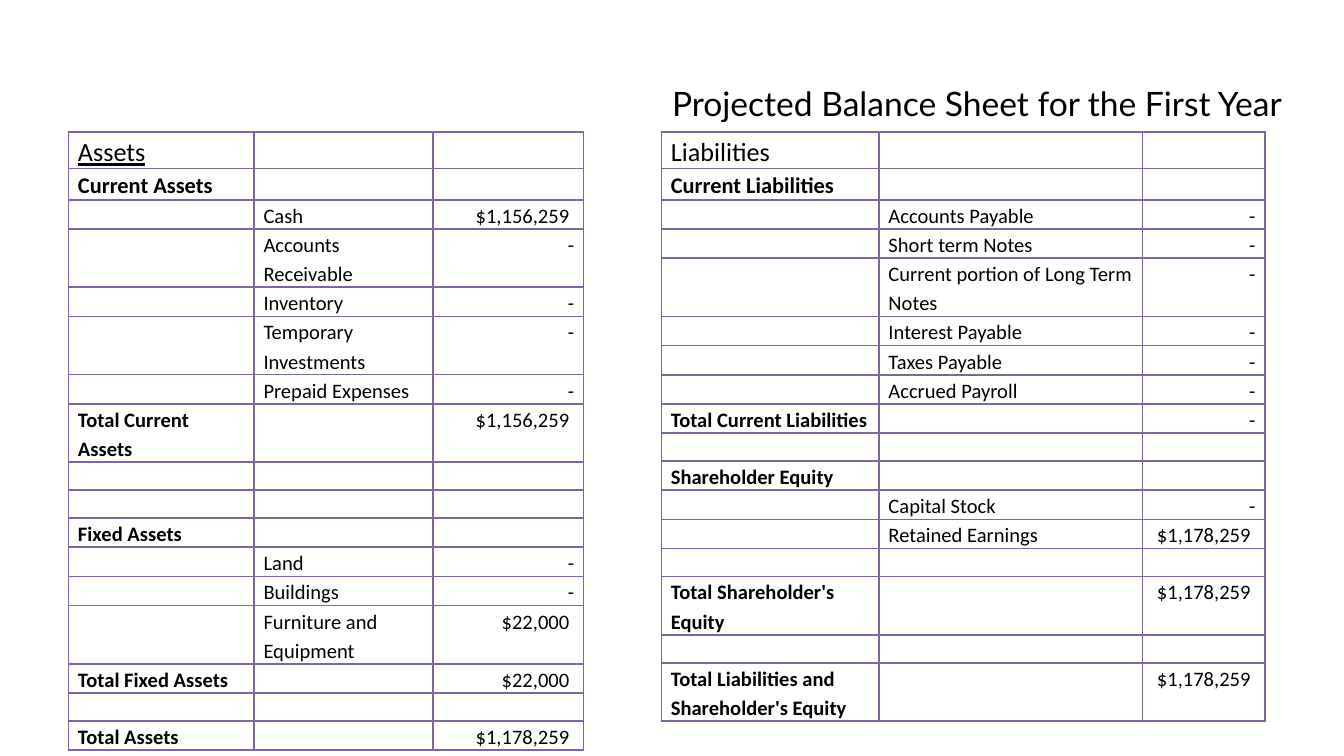
from lxml.etree import SubElement
from pptx import Presentation
from pptx.dml.color import RGBColor
from pptx.enum.text import MSO_ANCHOR, PP_ALIGN
from pptx.oxml.ns import qn
from pptx.util import Pt

BLACK = RGBColor(0x00, 0x00, 0x00)
PURPLE = RGBColor(0x80, 0x64, 0xA2)

TITLE = "Projected Balance Sheet for the First Year"
EMPTY = ("", "", "")

ASSETS = [
    ("Assets", "", ""),
    ("Current Assets", "", ""),
    ("", "Cash", "$1,156,259 "),
    ("", "Accounts Receivable", "-"),
    ("", "Inventory", "-"),
    ("", "Temporary Investments", "-"),
    ("", "Prepaid Expenses", "-"),
    ("Total Current Assets", "", "$1,156,259 "),
    EMPTY,
    EMPTY,
    ("Fixed Assets", "", ""),
    ("", "Land", "-"),
    ("", "Buildings", "-"),
    ("", "Furniture and Equipment", "$22,000 "),
    ("Total Fixed Assets", "", "$22,000 "),
    EMPTY,
    ("Total Assets", "", "$1,178,259 "),
]

LIABILITIES = [
    ("Liabilities", "", ""),
    ("Current Liabilities", "", ""),
    ("", "Accounts Payable", "-"),
    ("", "Short term Notes", "-"),
    ("", "Current portion of Long Term Notes", "-"),
    ("", "Interest Payable", "-"),
    ("", "Taxes Payable", "-"),
    ("", "Accrued Payroll", "-"),
    ("Total Current Liabilities", "", "-"),
    EMPTY,
    ("Shareholder Equity", "", ""),
    ("", "Capital Stock", "-"),
    ("", "Retained Earnings", "$1,178,259 "),
    EMPTY,
    ("Total Shareholder's Equity", "", "$1,178,259 "),
    EMPTY,
    ("Total Liabilities and Shareholder's Equity", "", "$1,178,259 "),
]

TABLES = [
    {"left": 36.8, "widths": (99.4, 95.8, 80.6), "rows": ASSETS, "underline": True},
    {"left": 354.4, "widths": (116.6, 141.1, 65.5), "rows": LIABILITIES, "underline": False},
]
TABLE_TOP = 70.6
TABLE_HEIGHT = 324
ROW_HEIGHT = 15
HEADING_SIZES = (14, 12)
BODY_SIZE = 11


def add_borders(cell):
    properties = cell._tc.get_or_add_tcPr()
    for position, side in enumerate(("lnL", "lnR", "lnT", "lnB")):
        line = SubElement(properties, qn(f"a:{side}"), w=str(Pt(1)))
        fill = SubElement(line, qn("a:solidFill"))
        SubElement(fill, qn("a:srgbClr"), val=str(PURPLE))
        properties.insert(position, line)


def fill_cell(cell, text, row, column, underline):
    cell.margin_left = cell.margin_right = Pt(5)
    cell.margin_top = cell.margin_bottom = 0
    cell.fill.background()
    add_borders(cell)
    paragraph = cell.text_frame.paragraphs[0]
    paragraph.text = text
    paragraph.line_spacing = 1.15
    paragraph.alignment = PP_ALIGN.RIGHT if column == 2 else PP_ALIGN.LEFT
    font = paragraph.font
    font.name = "Calibri"
    is_heading = column == 0 and row < len(HEADING_SIZES)
    font.size = Pt(HEADING_SIZES[row] if is_heading else BODY_SIZE)
    font.bold = column == 0 and row > 0
    font.underline = underline and row == 0
    font.color.rgb = BLACK


def add_statement(slide, left, widths, rows, underline):
    shape = slide.shapes.add_table(
        len(rows), len(widths), Pt(left), Pt(TABLE_TOP),
        Pt(sum(widths)), Pt(ROW_HEIGHT * len(rows)))
    table = shape.table
    table.first_row = table.horz_banding = False
    for column, width in zip(table.columns, widths):
        column.width = Pt(width)
    for row, texts in enumerate(rows):
        for column, text in enumerate(texts):
            fill_cell(table.cell(row, column), text, row, column, underline)
    shape.height = Pt(TABLE_HEIGHT)


def add_title(slide):
    frame = slide.shapes.add_textbox(Pt(360), Pt(34.6), Pt(342), Pt(54)).text_frame
    frame.word_wrap = False
    frame.vertical_anchor = MSO_ANCHOR.TOP
    frame.margin_left = frame.margin_right = frame.margin_bottom = 0
    frame.margin_top = Pt(10)
    paragraph = frame.paragraphs[0]
    paragraph.text = TITLE
    paragraph.font.name = "Lato"
    paragraph.font.size = Pt(18)
    paragraph.font.color.rgb = BLACK


def main():
    presentation = Presentation()
    presentation.slide_width = Pt(720)
    presentation.slide_height = Pt(405)
    slide = presentation.slides.add_slide(presentation.slide_layouts[6])
    for statement in TABLES:
        add_statement(slide, **statement)
    add_title(slide)
    presentation.save("out.pptx")


if __name__ == "__main__":
    main()
